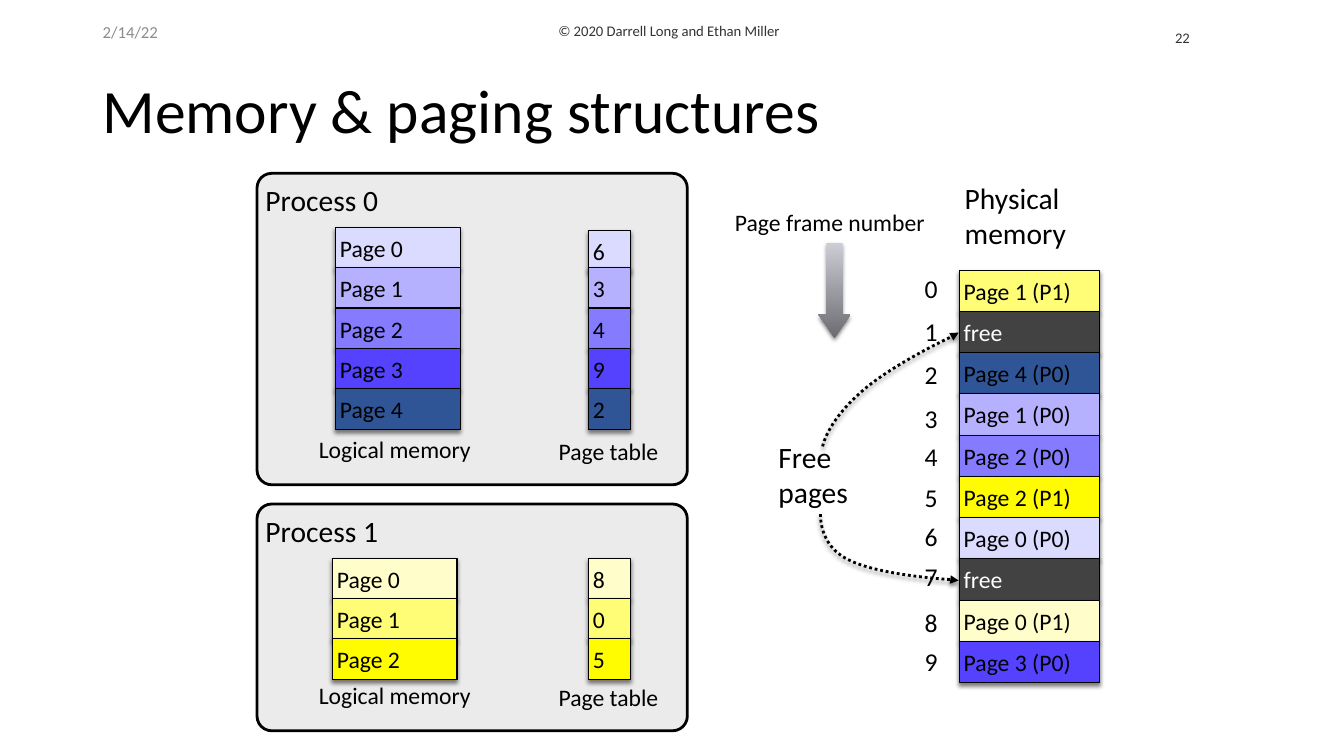
import pptx
import pptx.dml.color
import pptx.enum.dml
import pptx.enum.shapes
import pptx.enum.text
import pptx.oxml
import pptx.oxml.ns
import pptx.util

Pt = pptx.util.Pt
SHAPES = pptx.enum.shapes.MSO_SHAPE
ANCHOR = pptx.enum.text.MSO_ANCHOR
COLORS = {
    "black": "000000", "white": "FFFFFF", "footer": "333333", "date": "8C8C8C",
    "panel": "EBEBEB", "free": "424242",
    "arrow top": "CDCDD6", "arrow bottom": "6C6C72",
    "P0 0": "DBDAFF", "P0 1": "B6B1FF", "P0 2": "857BFF",
    "P0 3": "5442FF", "P0 4": "2F5597",
    "P1 0": "FFFDCA", "P1 1": "FFFC76", "P1 2": "FFFB00",
}
CELL_HEIGHT = 29.5
PAGE_PITCH = 28.8
FRAME_PITCH = 29.45
INSET = 3
LABEL_SIZE = 16.9
HEADING_SIZE = 21.1


def rgb(name):
    return pptx.dml.color.RGBColor.from_string(COLORS[name])


def add_xml(parent, xml):
    declaration = pptx.oxml.ns.nsdecls("a")
    parent.append(pptx.oxml.parse_xml(xml.replace("/>", f" {declaration}/>", 1)
                                     if xml.endswith("/>") and xml.count("<") == 1
                                     else xml.replace(">", f" {declaration}>", 1)))


def add_shadow(shape):
    shape.shadow.inherit = False
    effects = shape._element.spPr.find(pptx.oxml.ns.qn("a:effectLst"))
    add_xml(effects, '<a:outerShdw blurRad="38100" dist="25400" dir="5400000" rotWithShape="0">'
                     '<a:srgbClr val="000000"><a:alpha val="50000"/></a:srgbClr></a:outerShdw>')


def write_text(shape, text, size, color, anchor, inset):
    frame = shape.text_frame
    frame.text = text
    frame.word_wrap = True
    frame.vertical_anchor = anchor
    if inset is not None:
        frame.margin_left = frame.margin_right = Pt(inset)
        frame.margin_top = frame.margin_bottom = Pt(inset)
    for paragraph in frame.paragraphs:
        paragraph.alignment = pptx.enum.text.PP_ALIGN.LEFT
        paragraph.font.name = "Calibri"
        paragraph.font.size = Pt(size)
        paragraph.font.color.rgb = rgb(color)


def add_text(slide, box, text, size, color="black", anchor=ANCHOR.MIDDLE, inset=None):
    shape = slide.shapes.add_textbox(*map(Pt, box))
    write_text(shape, text, size, color, anchor, inset)
    return shape


def add_label(slide, box, text, size=LABEL_SIZE, indent=5.8):
    shape = add_text(slide, box, text, size, inset=INSET)
    shape.text_frame.word_wrap = False
    shape.text_frame.auto_size = pptx.enum.text.MSO_AUTO_SIZE.SHAPE_TO_FIT_TEXT
    for paragraph in shape.text_frame.paragraphs:
        properties = paragraph._p.get_or_add_pPr()
        properties.set("marL", str(Pt(indent)))
        properties.set("indent", "0")


def add_box(slide, kind, box, fill, line_width):
    shape = slide.shapes.add_shape(kind, *map(Pt, box))
    shape.shadow.inherit = False
    shape.fill.solid()
    shape.fill.fore_color.rgb = rgb(fill)
    shape.line.color.rgb = rgb("black")
    shape.line.width = Pt(line_width)
    return shape


def add_cell(slide, left, top, width, text, fill):
    cell = add_box(slide, SHAPES.RECTANGLE, (left, top, width, CELL_HEIGHT), fill, 0.75)
    add_shadow(cell)
    color = "white" if fill == "free" else "black"
    write_text(cell, text, LABEL_SIZE, color, ANCHOR.MIDDLE, INSET)


def add_process(slide, box, number, frames, memory_offset, first_entry_drop=0):
    left, top, width, height = box
    panel = add_box(slide, SHAPES.ROUNDED_RECTANGLE, box, "panel", 2)
    panel.adjustments[0] = 10.5 / height
    write_text(panel, f"Process {number}", HEADING_SIZE, "black", ANCHOR.TOP, INSET)
    label_top = top + height - 38.5
    add_label(slide, (left + 35.3, label_top, 126, 26), "Logical memory")
    add_label(slide, (left + 206.6, label_top + 1.4, 88.6, 26), "Page table")
    for page, frame in enumerate(frames):
        cell_top = top + 38.6 + page * PAGE_PITCH
        fill = f"P{number} {page}"
        entry_top = cell_top + (first_entry_drop if page == 0 else 0)
        add_cell(slide, left + memory_offset, cell_top, 88.9, f"Page {page}", fill)
        add_cell(slide, left + 236.9, entry_top, 30.2, str(frame), fill)


def add_free_page_arrow(slide, points):
    start, *rest = [(Pt(x), Pt(y)) for x, y in points]
    builder = slide.shapes.build_freeform(*start)
    builder.add_line_segments(rest, close=False)
    arrow = builder.convert_to_shape()
    path = next(arrow._element.iter(pptx.oxml.ns.qn("a:path")))
    segments = path.findall(pptx.oxml.ns.qn("a:lnTo"))
    for first in (0, 3):
        curve = path.makeelement(pptx.oxml.ns.qn("a:cubicBezTo"))
        segments[first].addprevious(curve)
        for segment in segments[first:first + 3]:
            curve.append(segment[0])
            path.remove(segment)
    arrow.fill.background()
    arrow.line.color.rgb = rgb("black")
    arrow.line.width = Pt(2)
    arrow.line.dash_style = pptx.enum.dml.MSO_LINE.ROUND_DOT
    add_xml(arrow.line._get_or_add_ln(), '<a:tailEnd type="triangle"/>')
    add_shadow(arrow)


def add_frame_number_key(slide, left, top):
    add_label(slide, (left, top, 153.4, 26), "Page frame number")
    arrow = slide.shapes.add_shape(
        SHAPES.DOWN_ARROW, Pt(left + 68.4), Pt(top + 28.1), Pt(23), Pt(67.7))
    arrow.adjustments[0] = 0.5
    arrow.adjustments[1] = 0.72
    arrow.fill.gradient()
    arrow.fill.gradient_angle = 270
    for stop, color, position in zip(arrow.fill.gradient_stops,
                                     ("arrow top", "arrow bottom"), (0, 1)):
        stop.color.rgb = rgb(color)
        stop.position = position
    arrow.line.fill.background()
    add_shadow(arrow)


def add_free_pages(slide, left, top):
    add_label(slide, (left, top, 56.2, 56.9), "Free\npages", HEADING_SIZE, 0)
    to_frame_7 = [(33.1, 56.9), (33.1, 56.9), (31.7, 79.2), (52.6, 89.3),
                  (74.2, 100.8), (126, 103.7), (126, 103.7), (131.8, 104.4)]
    to_frame_1 = [(34.6, 8.6), (34.6, 8.6), (37.4, -7.9), (60.5, -28.8),
                  (82.1, -49), (126.7, -69.8), (126.7, -69.8), (131.8, -72.7)]
    for points in (to_frame_7, to_frame_1):
        add_free_page_arrow(slide, [(left + x, top + y) for x, y in points])


def add_physical_memory(slide, left, top):
    add_label(slide, (left - 2.9, top - 67.7, 86.4, 56.9), "Physical\vmemory",
              HEADING_SIZE, 3.6)
    contents = ["P1 1", "free", "P0 4", "P0 1", "P0 2",
                "P1 2", "P0 0", "free", "P1 0", "P0 3"]
    number_nudges = [-0.8, 0, 1.5, 3, 1, 1, -1, -1.7, 2, 0.5]
    for frame, (content, nudge) in enumerate(zip(contents, number_nudges)):
        cell_top = top + frame * FRAME_PITCH
        add_label(slide, (left - 33.8, cell_top + nudge, 25.9, 28.1), str(frame), 18.3)
        process, _, page = content.partition(" ")
        text = f"Page {page} ({process})" if page else content
        add_cell(slide, left, cell_top, 100.1, text, content)


def add_header(slide, left, top):
    add_text(slide, (left, top, 97.9, 28.8), "2/14/22", 12, "date", ANCHOR.TOP)
    add_text(slide, (left + 325.5, top, 414, 28.8),
             "© 2020 Darrell Long and Ethan Miller", 10.5, "footer", ANCHOR.TOP)
    add_text(slide, (left + 766.1, top, 61.9, 28.8), "22", 10.5, "footer")
    title = add_text(slide, (left, top + 16.6, 828, 104.4), "Memory & paging structures", 44)
    title.text_frame.paragraphs[0].line_spacing = 0.9


def main():
    presentation = pptx.Presentation()
    presentation.slide_width = Pt(960)
    presentation.slide_height = Pt(540)
    slide = presentation.slides.add_slide(presentation.slide_layouts[6])
    add_header(slide, 66.2, 12.2)
    add_process(slide, (183.6, 123.8, 307.4, 222.5), 0, [6, 3, 4, 9, 2], 56.2, 2.2)
    add_process(slide, (183.6, 360, 307.4, 162), 1, [8, 0, 5], 54)
    add_frame_number_key(slide, 516.2, 145.4)
    add_free_pages(slide, 553, 310.3)
    add_physical_memory(slide, 685.4, 193)
    presentation.save("out.pptx")


if __name__ == "__main__":
    main()
